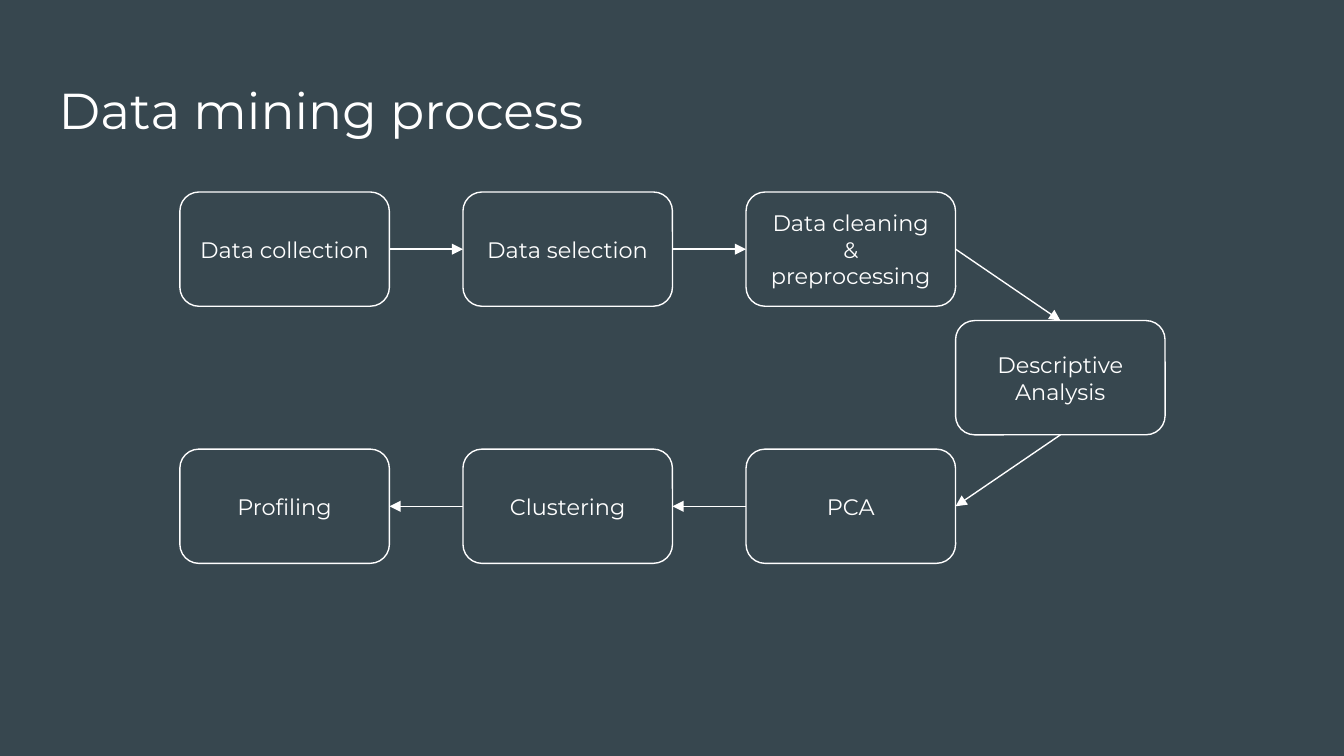
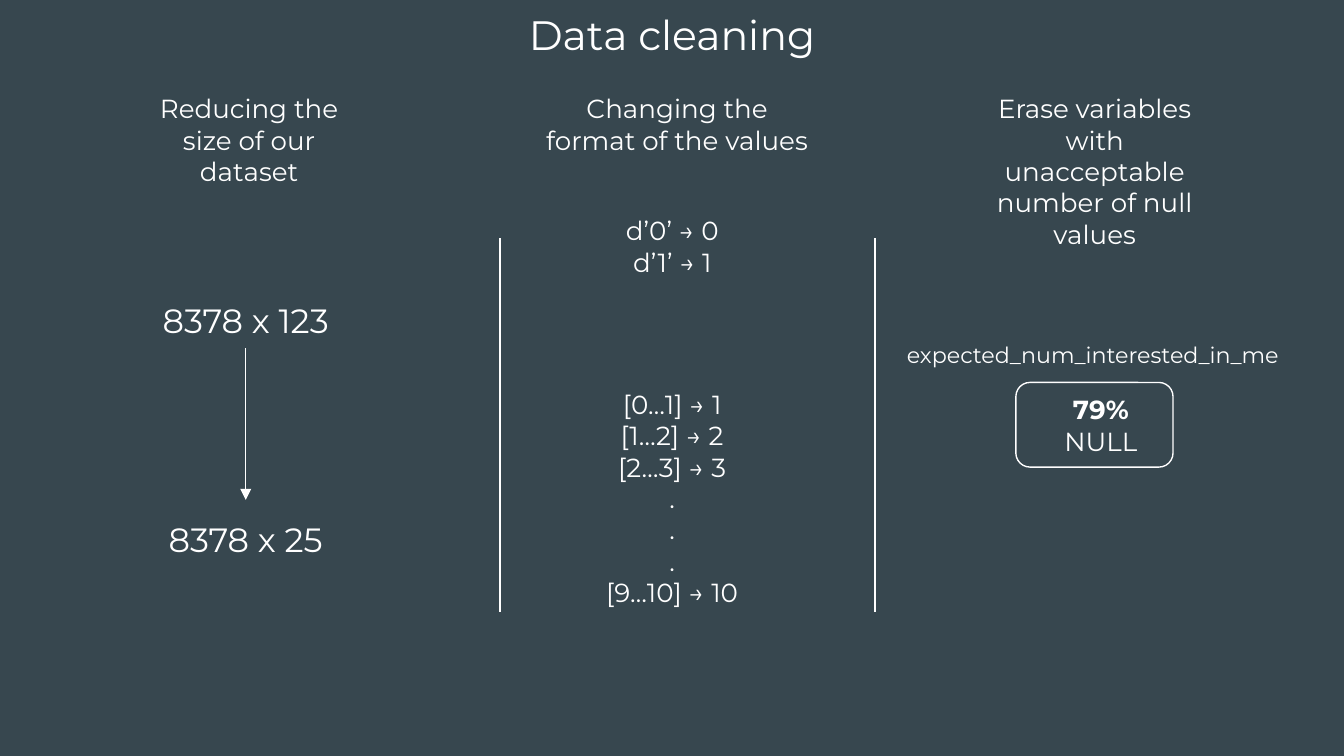
"""Builds two dark slides: a data mining process and its data cleaning step."""
from dataclasses import dataclass

from lxml.etree import SubElement
from pptx import Presentation
from pptx.dml.color import RGBColor
from pptx.enum.shapes import MSO_CONNECTOR as Connector, MSO_SHAPE as Preset
from pptx.enum.text import MSO_ANCHOR as Anchor, MSO_AUTO_SIZE as AutoSize, PP_ALIGN as Align
from pptx.oxml.ns import qn
from pptx.shapes.autoshape import Shape
from pptx.shapes.connector import Connector as ConnectorShape
from pptx.slide import Slide
from pptx.util import Cm, Pt


@dataclass(frozen=True)
class Theme:
    background: RGBColor = RGBColor(0x37, 0x47, 0x4F)
    foreground: RGBColor = RGBColor(0xFF, 0xFF, 0xFF)
    font: str = "Montserrat"
    title: float = 27
    small_title: float = 22
    figure: float = 18
    text: float = 14
    variable: float = 11.9
    step: float = 12
    line: float = 0.75


@dataclass(frozen=True)
class Box:
    left: float
    top: float
    width: float
    height: float

    def lengths(self) -> tuple[Cm, Cm, Cm, Cm]:
        return Cm(self.left), Cm(self.top), Cm(self.width), Cm(self.height)


@dataclass(frozen=True)
class Step:
    text: str
    column: float
    row: int


@dataclass(frozen=True)
class Link:
    start_site: int
    end_site: int


@dataclass(frozen=True)
class Label:
    text: str
    box: Box
    size: float
    line_spacing: float = 1.0
    space_after: float = 0
    bold_lines: int = 0


THEME = Theme()
TOP, LEFT, BOTTOM, RIGHT = range(4)
TITLE_AND_CONTENT, TITLE_ONLY = 1, 5

STEP_WIDTH, STEP_HEIGHT = 3.96, 2.16
STEP_LEFT, STEP_TOP = 3.4, 3.63
COLUMN_PITCH, ROW_PITCH = 5.35, 2.43
SIDE_COLUMN = 2 + STEP_WIDTH / COLUMN_PITCH

STEPS = [
    Step("Data collection", 0, 0),
    Step("Data selection", 1, 0),
    Step("Data cleaning & preprocessing", 2, 0),
    Step("Descriptive Analysis", SIDE_COLUMN, 1),
    Step("PCA", 2, 2),
    Step("Clustering", 1, 2),
    Step("Profiling", 0, 2),
]
FORWARD, BACK = Link(RIGHT, LEFT), Link(LEFT, RIGHT)
LINKS = [FORWARD, FORWARD, Link(RIGHT, TOP), Link(BOTTOM, RIGHT), BACK, BACK]

HEADING_TOP = 1.5
FIGURE_LEFT, FIGURE_WIDTH, FIGURE_HEIGHT = 2.79, 3.71, 1.27
FIGURE_TOPS = (5.31, 9.45)
DIVIDER_LEFTS, DIVIDER_TOP, DIVIDER_BOTTOM = (9.45, 16.54), 4.5, 11.56

LABELS = [
    *(
        Label(text, Box(FIGURE_LEFT, top, FIGURE_WIDTH, FIGURE_HEIGHT), THEME.figure, 1.15, 12)
        for text, top in zip(("8378 x 123", "8378 x 25"), FIGURE_TOPS)
    ),
    Label("d’0’ → 0\nd’1’ → 1", Box(11.48, 3.81, 2.46, 1.7), THEME.text),
    Label(
        "[0…1] → 1\n[1…2] → 2\n[2…3] → 3\n.\n.\n.\n[9…10] → 10",
        Box(10.85, 7.09, 3.71, 4.7),
        THEME.text,
    ),
    Label("79%\nNULL", Box(19.84, 7.19, 1.93, 1.7), THEME.text, bold_lines=1),
    Label("Reducing the size of our dataset", Box(2.36, HEADING_TOP, 4.7, 2.31), THEME.text),
    Label("Changing the format of the values", Box(9.93, HEADING_TOP, 5.74, 1.7), THEME.text),
    Label(
        "Erase variables with unacceptable number of null values",
        Box(18.34, HEADING_TOP, 4.7, 3.51),
        THEME.text,
    ),
]


def write_text(
    shape: Shape,
    text: str,
    *,
    size: float,
    align: Align = Align.CENTER,
    anchor: Anchor = Anchor.TOP,
    auto_size: AutoSize = AutoSize.NONE,
    line_spacing: float = 1.0,
    space_after: float = 0,
    bold_lines: int = 0,
) -> None:
    """Fill a shape with one formatted paragraph per line of text."""
    frame = shape.text_frame
    frame.text = text
    frame.word_wrap = True
    frame.auto_size = auto_size
    frame.vertical_anchor = anchor
    frame.margin_left = frame.margin_right = Cm(0.25)
    frame.margin_top = frame.margin_bottom = Cm(0.25)
    for index, paragraph in enumerate(frame.paragraphs):
        paragraph.alignment = align
        paragraph.line_spacing = line_spacing
        paragraph.space_before = Pt(0)
        paragraph.space_after = Pt(space_after)
        for run in paragraph.runs:
            run.font.name = THEME.font
            run.font.size = Pt(size)
            run.font.bold = index < bold_lines
            run.font.color.rgb = THEME.foreground


def place(shape: Shape, box: Box) -> None:
    """Move and resize a placeholder."""
    shape.left, shape.top, shape.width, shape.height = box.lengths()


def set_title(slide: Slide, text: str, box: Box, size: float, align: Align) -> None:
    """Place and write the slide title."""
    place(slide.shapes.title, box)
    write_text(slide.shapes.title, text, size=size, align=align)


def set_body(slide: Slide, text: str, box: Box, size: float) -> None:
    """Place and write the body placeholder without bullets."""
    body = slide.placeholders[1]
    place(body, box)
    write_text(body, text, size=size, align=Align.LEFT)
    for paragraph in body.text_frame.paragraphs:
        properties = paragraph._p.get_or_add_pPr()
        properties.set("marL", "0")
        properties.set("indent", "0")
        SubElement(properties, qn("a:buNone"))


def add_frame(slide: Slide, box: Box) -> Shape:
    """Add an outlined rounded rectangle."""
    shape = slide.shapes.add_shape(Preset.ROUNDED_RECTANGLE, *box.lengths())
    shape.shadow.inherit = False
    shape.fill.background()
    shape.line.color.rgb = THEME.foreground
    shape.line.width = Pt(THEME.line)
    return shape


def add_line(
    slide: Slide, start: tuple[float, float], end: tuple[float, float], arrow: bool = False
) -> ConnectorShape:
    """Add a straight line, with an arrowhead at its end if wanted."""
    points = [Cm(value) for value in (*start, *end)]
    connector = slide.shapes.add_connector(Connector.STRAIGHT, *points)
    connector.line.color.rgb = THEME.foreground
    connector.line.width = Pt(THEME.line)
    properties = connector.element.spPr
    if arrow:
        SubElement(properties.find(qn("a:ln")), qn("a:tailEnd"), type="triangle")
    SubElement(properties, qn("a:effectLst"))
    return connector


def add_step(slide: Slide, step: Step) -> Shape:
    """Add one step of the process on the grid."""
    left = STEP_LEFT + step.column * COLUMN_PITCH
    top = STEP_TOP + step.row * ROW_PITCH
    shape = add_frame(slide, Box(left, top, STEP_WIDTH, STEP_HEIGHT))
    write_text(shape, step.text, size=THEME.step, anchor=Anchor.MIDDLE)
    return shape


def add_label(slide: Slide, label: Label) -> None:
    """Add a centred text box."""
    write_text(
        slide.shapes.add_textbox(*label.box.lengths()),
        label.text,
        size=label.size,
        auto_size=AutoSize.SHAPE_TO_FIT_TEXT,
        line_spacing=label.line_spacing,
        space_after=label.space_after,
        bold_lines=label.bold_lines,
    )


def build_process(slide: Slide) -> None:
    """Draw the chain of process steps."""
    set_title(slide, "Data mining process", Box(0.86, 1.24, 23.67, 1.6), THEME.title, Align.LEFT)
    shapes = [add_step(slide, step) for step in STEPS]
    for link, start, end in zip(LINKS, shapes, shapes[1:]):
        connector = add_line(slide, (0, 0), (0, 0), arrow=True)
        connector.begin_connect(start, link.start_site)
        connector.end_connect(end, link.end_site)


def build_cleaning(slide: Slide) -> None:
    """Draw the three columns of cleaning work."""
    set_title(slide, "Data cleaning", Box(9.32, -0.08, 6.76, 1.6), THEME.small_title, Align.CENTER)
    set_body(slide, "expected_num_interested_in_me", Box(16.89, 6.2, 7.67, 1.12), THEME.variable)
    for label in LABELS:
        add_label(slide, label)
    center = FIGURE_LEFT + FIGURE_WIDTH / 2
    first_top, second_top = FIGURE_TOPS
    add_line(slide, (center, first_top + FIGURE_HEIGHT), (center, second_top), arrow=True)
    for left in DIVIDER_LEFTS:
        add_line(slide, (left, DIVIDER_TOP), (left, DIVIDER_BOTTOM))
    add_frame(slide, Box(19.2, 7.23, 2.97, 1.6))


def main() -> None:
    """Build and save the presentation."""
    presentation = Presentation()
    presentation.slide_width, presentation.slide_height = Cm(25.4), Cm(14.29)
    fill = presentation.slide_master.background.fill
    fill.solid()
    fill.fore_color.rgb = THEME.background
    layouts = presentation.slide_layouts
    build_process(presentation.slides.add_slide(layouts[TITLE_ONLY]))
    build_cleaning(presentation.slides.add_slide(layouts[TITLE_AND_CONTENT]))
    presentation.save("out.pptx")


if __name__ == "__main__":
    main()
